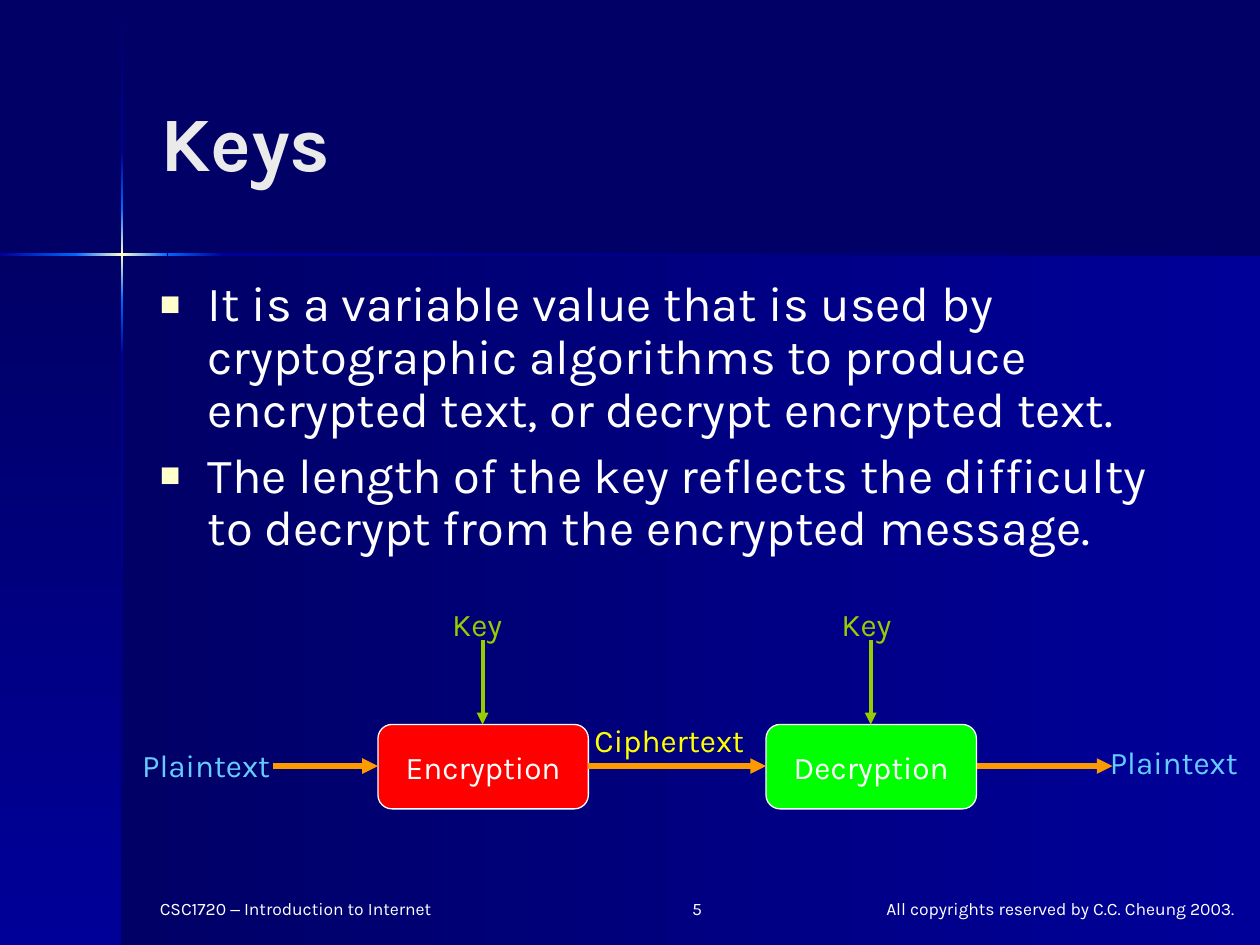
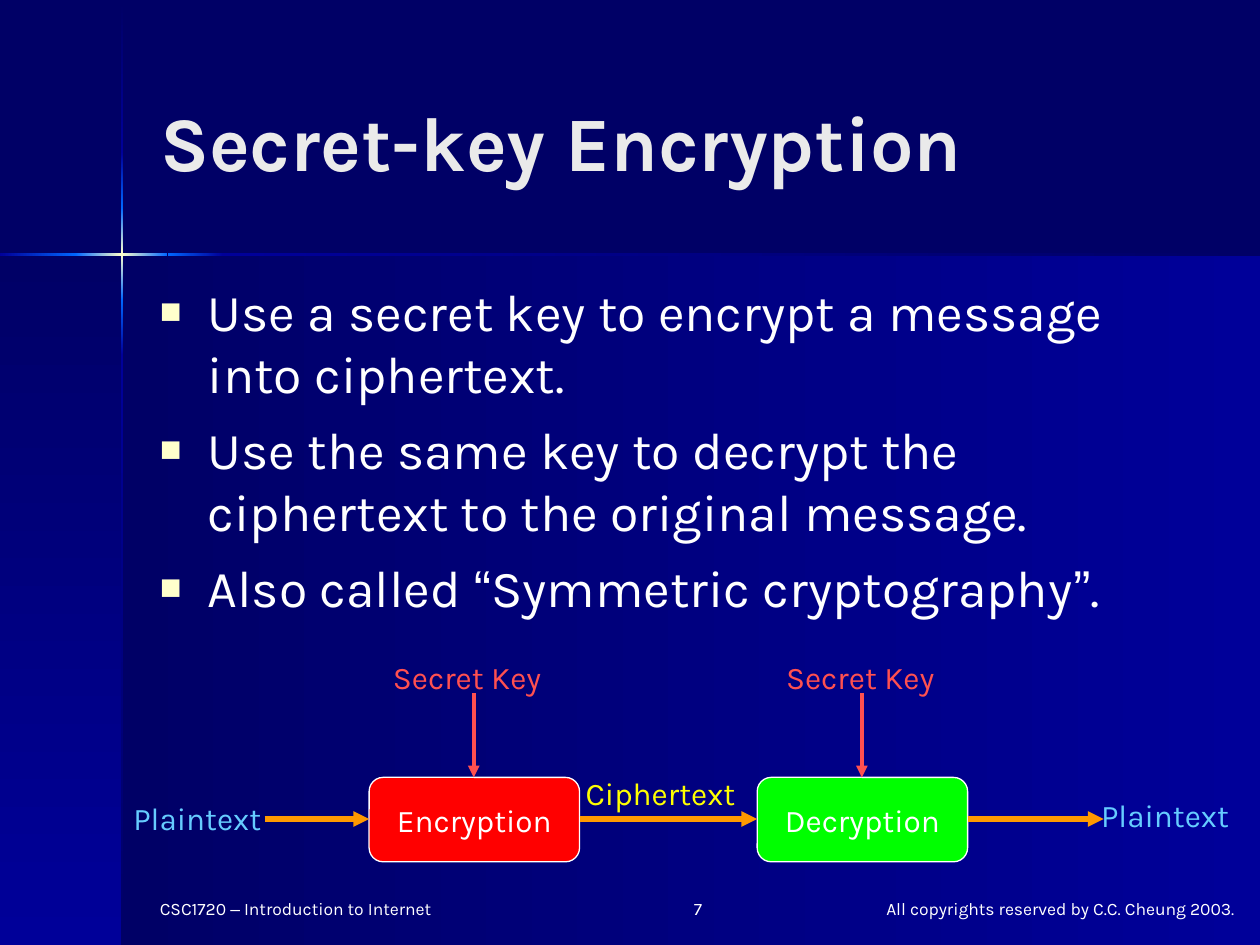
"""Build two slides on keys and secret-key encryption."""
from dataclasses import dataclass
from typing import NamedTuple

from lxml.etree import SubElement
from pptx import Presentation
from pptx.dml.color import RGBColor
from pptx.enum.shapes import MSO_CONNECTOR, MSO_SHAPE
from pptx.enum.text import MSO_ANCHOR, MSO_AUTO_SIZE, PP_ALIGN
from pptx.oxml.ns import qn
from pptx.util import Emu, Pt

SCALE = 9144
WIDE, HIGH = 1000, 750
FACE, MARK = "Karla", "Arial"
COLORS = {
    "navy": "000066", "blue": "000099", "bright": "0066FF", "cream": "FFFFCC",
    "title": "EAEAEA", "white": "FFFFFF", "red": "FF0000", "green": "00FF00",
    "sky": "66CCFF", "orange": "FF9900", "yellow": "FFFF00",
    "lime": "99CC00", "coral": "FF5050",
}


class Box(NamedTuple):
    x: int
    y: int
    w: int
    h: int


class Run(NamedTuple):
    text: str
    face: str = FACE


class Band(NamedTuple):
    box: Box
    angle: int
    stops: tuple[str, ...]


class Label(NamedTuple):
    text: str
    box: Box
    color: str


class Arrow(NamedTuple):
    start: tuple[int, int]
    end: tuple[int, int]
    color: str
    width: float


class Foot(NamedTuple):
    runs: tuple[Run, ...]
    box: Box
    align: PP_ALIGN


@dataclass(frozen=True)
class Page:
    title: str
    number: str
    points: tuple[tuple[Run, ...], ...]
    high: int
    size: float
    gap: int
    lead: float
    shift: tuple[int, int]
    key: str
    hue: str
    spots: tuple[int, int]
    width: int


DOWN, ACROSS = 270, 0
GLOW = ("bright", "cream", "bright")
BANDS = (
    Band(Box(97, 202, 903, 548), ACROSS, ("navy", "blue")),
    Band(Box(0, 202, 97, 548), DOWN, ("navy", "blue")),
    Band(Box(96, 1, 2, 120), DOWN, ("navy", "blue")),
    Band(Box(96, 282, 2, 468), DOWN, ("blue", "navy")),
    Band(Box(177, 201, 823, 2), ACROSS, ("blue", "navy")),
    Band(Box(96, 238, 2, 44), DOWN, ("bright", "blue")),
    Band(Box(96, 121, 2, 44), DOWN, ("blue", "bright")),
    Band(Box(96, 165, 2, 73), DOWN, GLOW),
    Band(Box(0, 201, 61, 2), ACROSS, ("blue", "bright")),
    Band(Box(133, 201, 44, 2), ACROSS, ("bright", "blue")),
    Band(Box(60, 201, 73, 2), ACROSS, GLOW),
)
STEPS = (
    Label("Encryption", Box(300, 575, 167, 67), "red"),
    Label("Decryption", Box(608, 575, 167, 67), "green"),
)
TEXTS = (
    Label("Plaintext", Box(103, 587, 123, 40), "sky"),
    Label("Plaintext", Box(871, 585, 123, 40), "sky"),
    Label("Ciphertext", Box(462, 567, 143, 40), "yellow"),
)
FLOWS = ((217, 300), (467, 608), (775, 883))
PAGES = (
    Page(
        "Keys", "5",
        (
            (Run("It is a variable value that is used by cryptographic algorithms "
                 "to produce encrypted text, or decrypt encrypted text."),),
            (Run("The length of the key reflects the difficulty to decrypt from "
                 "the encrypted message."),),
        ),
        238, 28, 7, 0.9, (0, 0), "Key", "lime", (349, 658), 62,
    ),
    Page(
        "Secret-key Encryption", "7",
        (
            (Run("Use a secret key to encrypt a message into ciphertext."),),
            (Run("Use the same key to decrypt the ciphertext to the original message."),),
            (Run("Also called "), Run("“", MARK), Run("Symmetric cryptography"),
             Run("”", MARK), Run(".")),
        ),
        317, 29.6, 8, 1.0, (-7, 42), "Secret Key", "coral", (302, 614), 142,
    ),
)


def px(count: int) -> Emu:
    return Emu(count * SCALE)


def paint(name: str) -> RGBColor:
    return RGBColor.from_string(COLORS[name])


def place(shape, box: Box) -> None:
    shape.left, shape.top, shape.width, shape.height = map(px, box)


def move(box: Box, shift: tuple[int, int]) -> Box:
    return Box(box.x + shift[0], box.y + shift[1], box.w, box.h)


def write(para, runs: tuple[Run, ...], size: float, color: str, bold: bool = False) -> None:
    for item in runs:
        run = para.add_run()
        run.text = item.text
        font = run.font
        font.name, font.size, font.bold = item.face, Pt(size), bold
        font.color.rgb = paint(color)


def add_text(slide, box: Box, wrap: bool = True):
    shape = slide.shapes.add_textbox(*map(px, box))
    shape.text_frame.word_wrap = wrap
    return shape.text_frame


def add_label(slide, label: Label) -> None:
    frame = add_text(slide, label.box, False)
    frame.auto_size = MSO_AUTO_SIZE.SHAPE_TO_FIT_TEXT
    write(frame.paragraphs[0], (Run(label.text),), 18, label.color)


def add_step(slide, step: Label) -> None:
    shape = slide.shapes.add_shape(MSO_SHAPE.ROUNDED_RECTANGLE, *map(px, step.box))
    shape.shadow.inherit = False
    shape.fill.solid()
    shape.fill.fore_color.rgb = paint(step.color)
    shape.line.color.rgb = paint("white")
    shape.line.width = Pt(0.75)
    frame = shape.text_frame
    frame.word_wrap = False
    frame.vertical_anchor = MSO_ANCHOR.MIDDLE
    para = frame.paragraphs[0]
    para.alignment = PP_ALIGN.CENTER
    write(para, (Run(step.text),), 18, "white")


def add_arrow(slide, arrow: Arrow) -> None:
    ends = map(px, arrow.start + arrow.end)
    line = slide.shapes.add_connector(MSO_CONNECTOR.STRAIGHT, *ends)
    line.line.color.rgb = paint(arrow.color)
    line.line.width = Pt(arrow.width)
    props = line.element.spPr
    SubElement(props.find(qn("a:ln")), qn("a:tailEnd"), type="triangle")
    SubElement(props, qn("a:effectLst"))


def add_band(slide, band: Band):
    shape = slide.shapes.add_shape(MSO_SHAPE.RECTANGLE, *map(px, band.box))
    shape.shadow.inherit = False
    shape.line.fill.background()
    shape.fill.gradient()
    shape.fill.gradient_angle = band.angle
    stops = shape.element.spPr.find(qn("a:gradFill")).find(qn("a:gsLst"))
    for stop in list(stops):
        stops.remove(stop)
    for index, name in enumerate(band.stops):
        spot = 100000 * index // (len(band.stops) - 1)
        stop = SubElement(stops, qn("a:gs"), pos=str(spot))
        SubElement(stop, qn("a:srgbClr"), val=COLORS[name])
    return shape


def dress(layout, slide) -> None:
    fill = layout.background.fill
    fill.solid()
    fill.fore_color.rgb = paint("navy")
    for number, band in enumerate(BANDS, 20):
        shape = add_band(slide, band)
        shape.element.xpath(".//p:cNvPr")[0].set("id", str(number))
        layout.shapes.element.append(shape.element)


def add_title(slide, text: str) -> None:
    title = slide.shapes.title
    place(title, Box(117, 33, 825, 157))
    frame = title.text_frame
    frame.auto_size = MSO_AUTO_SIZE.NONE
    frame.vertical_anchor = MSO_ANCHOR.MIDDLE
    para = frame.paragraphs[0]
    para.alignment = PP_ALIGN.LEFT
    write(para, (Run(text),), 44, "title", True)


def add_points(slide, page: Page) -> None:
    frame = add_text(slide, Box(117, 217, 825, page.high))
    for index, runs in enumerate(page.points):
        para = frame.add_paragraph() if index else frame.paragraphs[0]
        props = para._p.get_or_add_pPr()
        props.set("marL", str(px(38)))
        props.set("indent", str(px(-38)))
        tint = SubElement(props, qn("a:buClr"))
        SubElement(tint, qn("a:srgbClr"), val=COLORS["cream"])
        SubElement(props, qn("a:buSzPct"), val="70000")
        SubElement(props, qn("a:buFont"), typeface=MARK)
        SubElement(props, qn("a:buChar"), char="■")
        para.line_spacing = page.lead
        para.space_before = Pt(page.gap if index else 0)
        write(para, runs, page.size, "white")


def add_feet(slide, number: str) -> None:
    course = (Run("CSC1720 "), Run("–", MARK), Run(" Introduction to Internet"))
    rights = (Run("All copyrights reserved by C.C. Cheung 2003."),)
    feet = (
        Foot(course, Box(117, 708, 242, 25), PP_ALIGN.LEFT),
        Foot(rights, Box(683, 708, 317, 24), PP_ALIGN.CENTER),
        Foot((Run(number),), Box(500, 708, 67, 24), PP_ALIGN.RIGHT),
    )
    for foot in feet:
        para = add_text(slide, foot.box).paragraphs[0]
        para.alignment = foot.align
        write(para, foot.runs, 10, "white")


def add_chain(slide, page: Page) -> None:
    dx, dy = page.shift
    for step in STEPS:
        add_step(slide, step._replace(box=move(step.box, page.shift)))
    for label in TEXTS:
        add_label(slide, label._replace(box=move(label.box, page.shift)))
    for start, end in FLOWS:
        add_arrow(slide, Arrow((start + dx, 608 + dy), (end + dx, 608 + dy), "orange", 3))
    for step, spot in zip(STEPS, page.spots):
        add_label(slide, Label(page.key, Box(spot, 475 + dy, page.width, 40), page.hue))
        mid = step.box.x + step.box.w // 2 + dx
        add_arrow(slide, Arrow((mid, 508 + dy), (mid, step.box.y + dy), page.hue, 2.25))


def main() -> None:
    deck = Presentation()
    deck.slide_width, deck.slide_height = px(WIDE), px(HIGH)
    layout = deck.slide_layouts[5]
    for index, page in enumerate(PAGES):
        slide = deck.slides.add_slide(layout)
        if index == 0:
            dress(layout, slide)
        add_title(slide, page.title)
        add_points(slide, page)
        add_chain(slide, page)
        add_feet(slide, page.number)
    deck.save("out.pptx")


if __name__ == "__main__":
    main()
